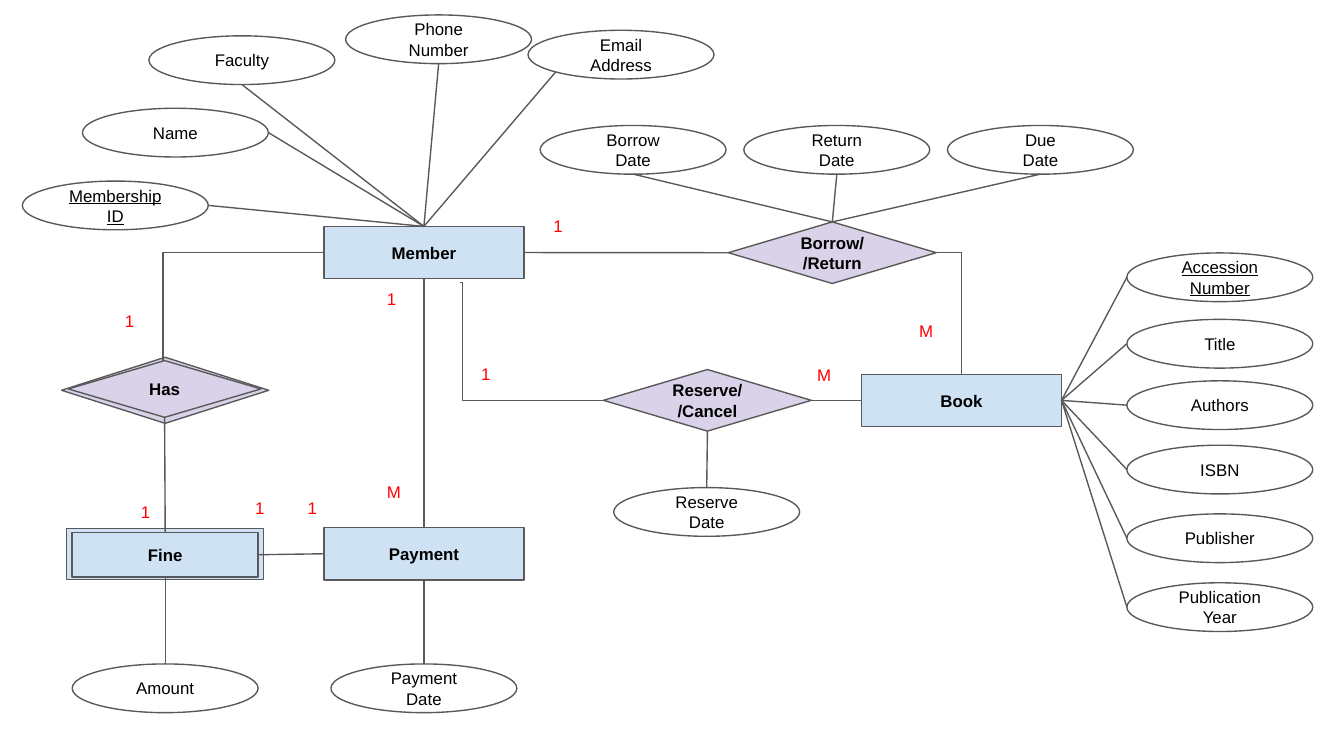
import dataclasses

import pptx
import pptx.dml.color
import pptx.enum.shapes
import pptx.enum.text
import pptx.util
from lxml import etree
from pptx.oxml.ns import qn

Pt = pptx.util.Pt
RGB = pptx.dml.color.RGBColor.from_string
MSO_SHAPE = pptx.enum.shapes.MSO_SHAPE
CONNECTOR = pptx.enum.shapes.MSO_CONNECTOR
TEXT = pptx.enum.text


@dataclasses.dataclass(frozen=True)
class Theme:
    font: str = "Arial"
    size: float = 9
    line_width: float = 0.75
    inset: float = 7.2
    line: str = "595959"
    text: str = "000000"
    label: str = "FF0000"
    attribute: str = "FFFFFF"
    entity: str = "CFE2F3"
    relation: str = "D9D2E9"


THEME = Theme()
ATTRIBUTE = (99.6, 26.1)
ENTITY = (107.2, 28)
RELATION = (111.4, 33)
LABEL = (24, 25)

TOP, BOTTOM, LEFT, RIGHT = (0.5, 0), (0.5, 1), (0, 0.5), (1, 0.5)


# Basic parts
def write(sp, text, color=THEME.text, align=TEXT.PP_ALIGN.CENTER, bold=False, underline=False):
    tf = sp.text_frame
    tf.word_wrap = True
    tf.margin_left = tf.margin_right = tf.margin_top = tf.margin_bottom = Pt(THEME.inset)
    tf.text = text
    for p in tf.paragraphs:
        p.alignment = align
        p.font.name = THEME.font
        p.font.size = Pt(THEME.size)
        p.font.bold = bold
        p.font.underline = underline
        p.font.color.rgb = RGB(color)
    return tf


def node(s, kind, x, y, size, fill, text="", **style):
    sp = s.shapes.add_shape(kind, Pt(x), Pt(y), Pt(size[0]), Pt(size[1]))
    sp.shadow.inherit = False
    sp.fill.solid()
    sp.fill.fore_color.rgb = RGB(fill)
    sp.line.color.rgb = RGB(THEME.line)
    sp.line.width = Pt(THEME.line_width)
    if text:
        write(sp, text, **style).vertical_anchor = TEXT.MSO_ANCHOR.MIDDLE
    return sp


def attribute(s, x, y, text, key=False):
    return node(s, MSO_SHAPE.OVAL, x, y, ATTRIBUTE, THEME.attribute, text, underline=key)


def entity(s, x, y, text="", size=ENTITY):
    return node(s, MSO_SHAPE.RECTANGLE, x, y, size, THEME.entity, text, bold=True)


def relation(s, x, y, text="", size=RELATION):
    return node(s, MSO_SHAPE.FLOWCHART_DECISION, x, y, size, THEME.relation, text, bold=True)


def port(sp, at):
    """Point on a shape, given as fractions of its width and height."""
    return int(sp.left + sp.width * at[0]), int(sp.top + sp.height * at[1])


def connect(s, a, a_at, b, b_at, bend=None):
    """Straight line, or an elbow turning at the given share of its width."""
    kind = CONNECTOR.STRAIGHT if bend is None else CONNECTOR.ELBOW
    line = s.shapes.add_connector(kind, *port(a, a_at), *port(b, b_at))
    line.line.color.rgb = RGB(THEME.line)
    line.line.width = Pt(THEME.line_width)
    props = line._element.spPr
    etree.SubElement(props, qn("a:effectLst"))
    if bend is not None:
        guides = props.find(qn("a:prstGeom")).get_or_add_avLst()
        etree.SubElement(guides, qn("a:gd"), name="adj1", fmla=f"val {round(bend * 100000)}")


# Regions
def member_region(s, x, y):
    member = entity(s, x + 161.5, y + 113.3, "Member")
    for dx, dy, text, at in (
        (0, 89, "Membership ID", RIGHT),
        (32.2, 50, "Name", RIGHT),
        (67.8, 11.2, "Faculty", BOTTOM),
        (173.2, 0, "Phone Number", BOTTOM),
        (270.9, 8.2, "Email Address", (0.15, 0.85)),
    ):
        sp = attribute(s, x + dx, y + dy, text, key=text == "Membership ID")
        connect(s, sp, at, member, TOP)
    return member


def fine_region(s, x, y):
    # Double outlines mark the weak entity and its relation
    relation(s, x, y, size=(111, 35.4))
    has = relation(s, x + 3.6, y + 1.8, "Has", (103.2, 30.4))
    entity(s, x + 2.8, y + 91.6, size=(105.4, 27.6))
    fine = entity(s, x + 5.7, y + 93.8, "Fine", (99.6, 24))
    amount = attribute(s, x + 5.7, y + 164.3, "Amount")
    connect(s, has, BOTTOM, fine, TOP)
    connect(s, fine, BOTTOM, amount, TOP)
    return has, fine


def payment_region(s, x, y):
    payment = entity(s, x, y, "Payment")
    date = attribute(s, x + (ENTITY[0] - ATTRIBUTE[0]) / 2, y + 73, "Payment Date")
    connect(s, payment, BOTTOM, date, TOP)
    return payment


def borrow_region(s, x, y):
    borrow = relation(s, x + 100.8, y + 51.7, "Borrow/\n/Return")
    for i, text in enumerate(("Borrow\nDate", "Return\nDate", "Due\nDate")):
        connect(s, attribute(s, x + 109.1 * i, y, text), BOTTOM, borrow, TOP)
    return borrow


def reserve_region(s, x, y):
    reserve = relation(s, x, y, "Reserve/\n/Cancel")
    connect(s, reserve, BOTTOM, attribute(s, x + 5.5, y + 63.2, "Reserve\nDate"), TOP)
    return reserve


def book_region(s, x, y):
    book = entity(s, x, y + 65, "Book")
    for dy, text in (
        (0, "Accession Number"), (35.6, "Title"), (68.5, "Authors"),
        (103, "ISBN"), (139.8, "Publisher"), (176.7, "Publication Year"),
    ):
        sp = attribute(s, x + 142.2, y + dy, text, key=text == "Accession Number")
        connect(s, book, RIGHT, sp, LEFT)
    return book


def cardinalities(s, x, y):
    for dx, dy, text in (
        (0, 51.1, "1"), (8.6, 153.3, "1"), (69.8, 151.2, "1"), (97.9, 151.2, "1"),
        (140.4, 38.8, "1"), (140.4, 142.5, "M"), (190.8, 79.2, "1"),
        (229.6, 0, "1"), (370.8, 79.9, "M"), (425.5, 56.1, "M"),
    ):
        box = s.shapes.add_textbox(Pt(x + dx), Pt(y + dy), Pt(LABEL[0]), Pt(LABEL[1]))
        tf = write(box, text, THEME.label, TEXT.PP_ALIGN.LEFT)
        tf.auto_size = TEXT.MSO_AUTO_SIZE.SHAPE_TO_FIT_TEXT


def main():
    prs = pptx.Presentation()
    prs.slide_width, prs.slide_height = Pt(720), Pt(405)
    s = prs.slides.add_slide(prs.slide_layouts[6])

    member = member_region(s, 12, 8)
    has, fine = fine_region(s, 33, 191.4)
    payment = payment_region(s, 173.5, 282.7)
    borrow = borrow_region(s, 289.4, 67.2)
    reserve = reserve_region(s, 323.3, 198)
    book = book_region(s, 461.5, 135.5)

    # Lines between regions
    connect(s, member, LEFT, has, TOP, bend=1.01)
    connect(s, member, BOTTOM, payment, TOP)
    connect(s, member, RIGHT, borrow, LEFT)
    connect(s, member, (0.68, 1.07), reserve, LEFT, bend=0.02)
    connect(s, borrow, RIGHT, book, TOP, bend=1)
    connect(s, reserve, RIGHT, book, LEFT)
    connect(s, fine, RIGHT, payment, LEFT)

    cardinalities(s, 59.8, 110.2)
    prs.save("out.pptx")


if __name__ == "__main__":
    main()
